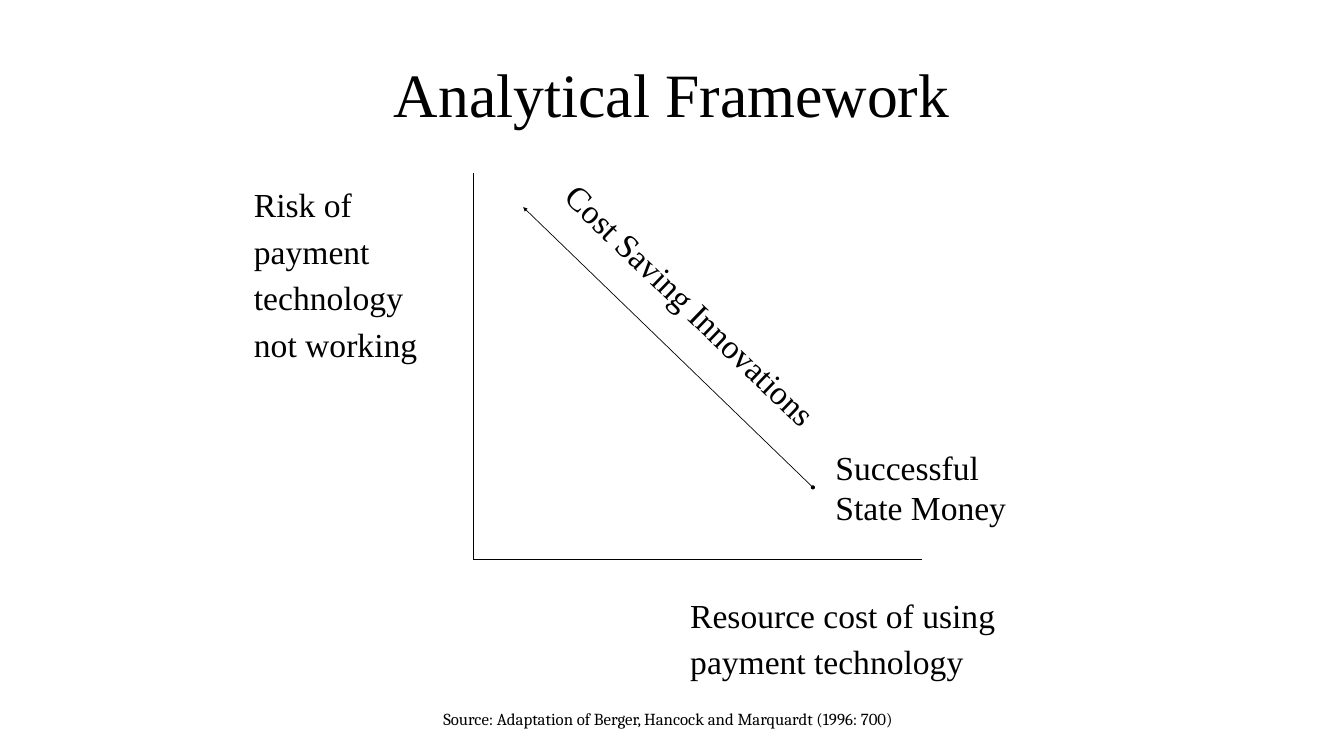
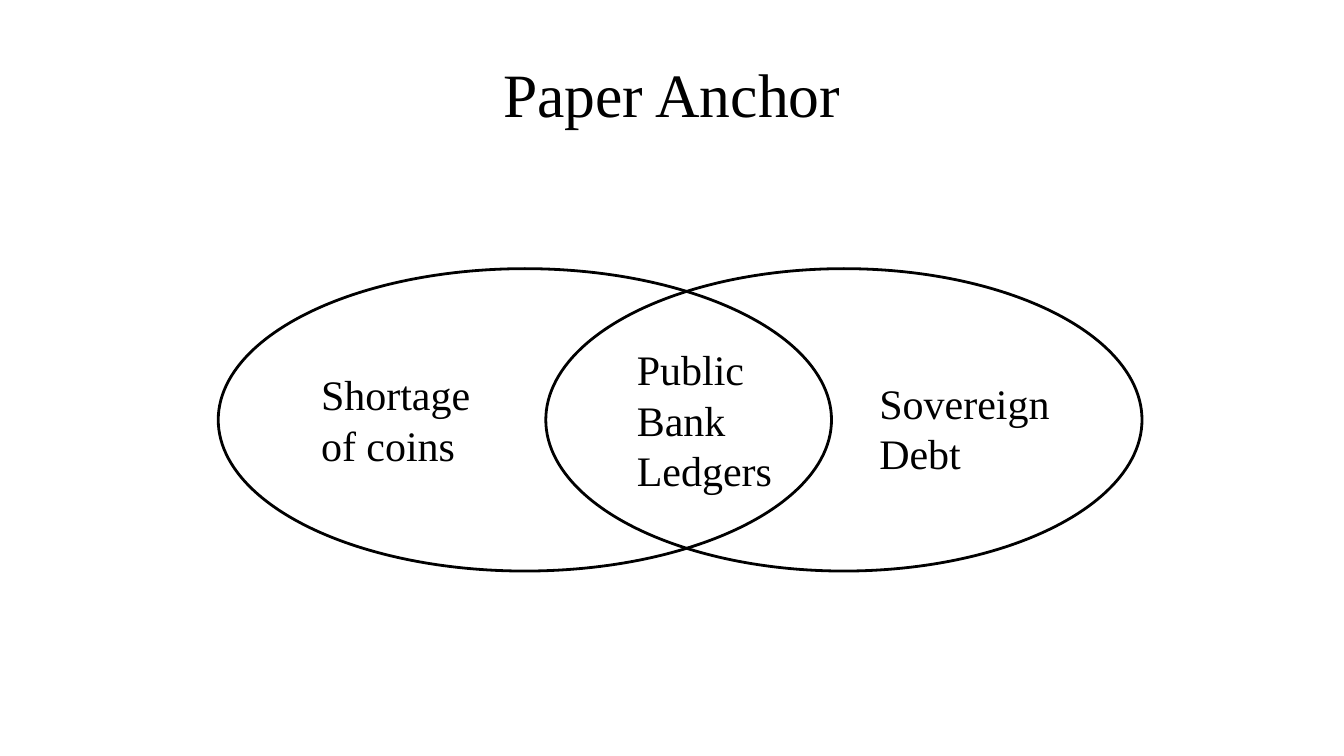
"""Builds two slides: an analytical framework chart and a paper anchor Venn diagram."""
import pptx
import pptx.dml.color
import pptx.enum.shapes
import pptx.enum.text
import pptx.oxml
import pptx.oxml.ns
import pptx.util

Cm = pptx.util.Cm
Pt = pptx.util.Pt
ALIGN = pptx.enum.text.PP_ALIGN
ANCHOR = pptx.enum.text.MSO_ANCHOR
AUTO_SIZE = pptx.enum.text.MSO_AUTO_SIZE

COLORS = {"ink": "000000", "paper": "FFFFFF"}
INK = pptx.dml.color.RGBColor.from_string(COLORS["ink"])
SERIF = "Times New Roman"
TITLE_BOX = (11, 1.52, 45.72, 6.35)
CENTERED = {"alignment": ALIGN.CENTER}
LOOSE = {"line_spacing": 1.15, "space_before": Pt(20)}


def add_text(slide, box, words, size, font=SERIF, paragraph_format={}, frame_format={}):
    label = slide.shapes.add_textbox(*map(Cm, box))
    frame = label.text_frame
    frame_values = {
        "margin_left": Cm(0.25), "margin_right": Cm(0.25),
        "margin_top": Cm(0.25), "margin_bottom": Cm(0.25),
        "word_wrap": True, "auto_size": AUTO_SIZE.SHAPE_TO_FIT_TEXT,
    }
    for name, value in {**frame_values, **frame_format}.items():
        setattr(frame, name, value)
    frame.text = words
    for paragraph in frame.paragraphs:
        for name, value in paragraph_format.items():
            setattr(paragraph, name, value)
        for run in paragraph.runs:
            for name, value in {"name": font, "size": Pt(size)}.items():
                setattr(run.font, name, value)
            run.font.color.rgb = INK
    return label


def add_line(slide, start, end):
    line = slide.shapes.add_connector(
        pptx.enum.shapes.MSO_CONNECTOR.STRAIGHT, *map(Cm, start + end))
    line.line.color.rgb = INK
    line.line.width = Pt(1)
    pptx.oxml.ns.qn("a:effectLst")
    line._element.spPr.append(
        pptx.oxml.parse_xml(f'<a:effectLst {pptx.oxml.ns.nsdecls("a")}/>'))
    return line


deck = pptx.Presentation()
deck.slide_width, deck.slide_height = Cm(67.74), Cm(38.1)

slides = []
for title in ("Analytical Framework", "Paper Anchor"):
    slide = deck.slides.add_slide(deck.slide_layouts[6])
    slide.background.fill.solid()
    slide.background.fill.fore_color.rgb = pptx.dml.color.RGBColor.from_string(COLORS["paper"])
    add_text(slide, TITLE_BOX, title, 88, paragraph_format=CENTERED,
             frame_format={"vertical_anchor": ANCHOR.MIDDLE, "auto_size": AUTO_SIZE.NONE})
    slides.append(slide)
framework, anchor = slides

origin = (23.85, 28.19)
add_line(framework, (origin[0], 8.74), origin)
add_line(framework, origin, (46.46, origin[1]))

add_text(framework, (12.55, 8.74, 10.06, 9.04),
         "Risk of payment technology not working", 48, paragraph_format=LOOSE)
add_text(framework, (34.54, 29.41, 19.13, 4.6),
         "Resource cost of using payment technology", 48, paragraph_format=LOOSE)

trade_off = add_line(framework, (26.37, 10.44), (40.97, 24.56))
for end, style in (("headEnd", "triangle"), ("tailEnd", "oval")):
    trade_off.line._get_or_add_ln().append(pptx.oxml.parse_xml(
        f'<a:{end} {pptx.oxml.ns.nsdecls("a")} type="{style}"/>'))

add_text(framework, (41.86, 22.25, 9.14, 4.32), "Successful\nState Money", 48,
         frame_format={"word_wrap": False})
innovations = add_text(framework, (25.63, 15.77, 21.92, 2.39), "Cost Saving Innovations", 48)
innovations.rotation = 43.9
add_text(framework, (12.34, 35.48, 42.65, 1.5),
         "Source: Adaptation of Berger, Hancock and Marquardt (1996: 700)", 24, "Cambria",
         CENTERED, {"vertical_anchor": ANCHOR.MIDDLE})

for left, width in ((11, 30.91), (27.51, 30.05)):
    circle = anchor.shapes.add_shape(
        pptx.enum.shapes.MSO_SHAPE.OVAL, Cm(left), Cm(13.54), Cm(width), Cm(15.24))
    circle.shadow.inherit = False
    circle.fill.background()
    circle.line.color.rgb = INK
    circle.line.width = Pt(4)

for box, words in (
    ((15.93, 18.34, 8.81, 5.28), "Shortage of coins"),
    ((44.07, 18.77, 9.65, 5.28), "Sovereign\nDebt"),
    ((31.85, 17.07, 7.95, 7.72), "Public Bank\nLedgers"),
):
    add_text(anchor, box, words, 60)

deck.save("out.pptx")
